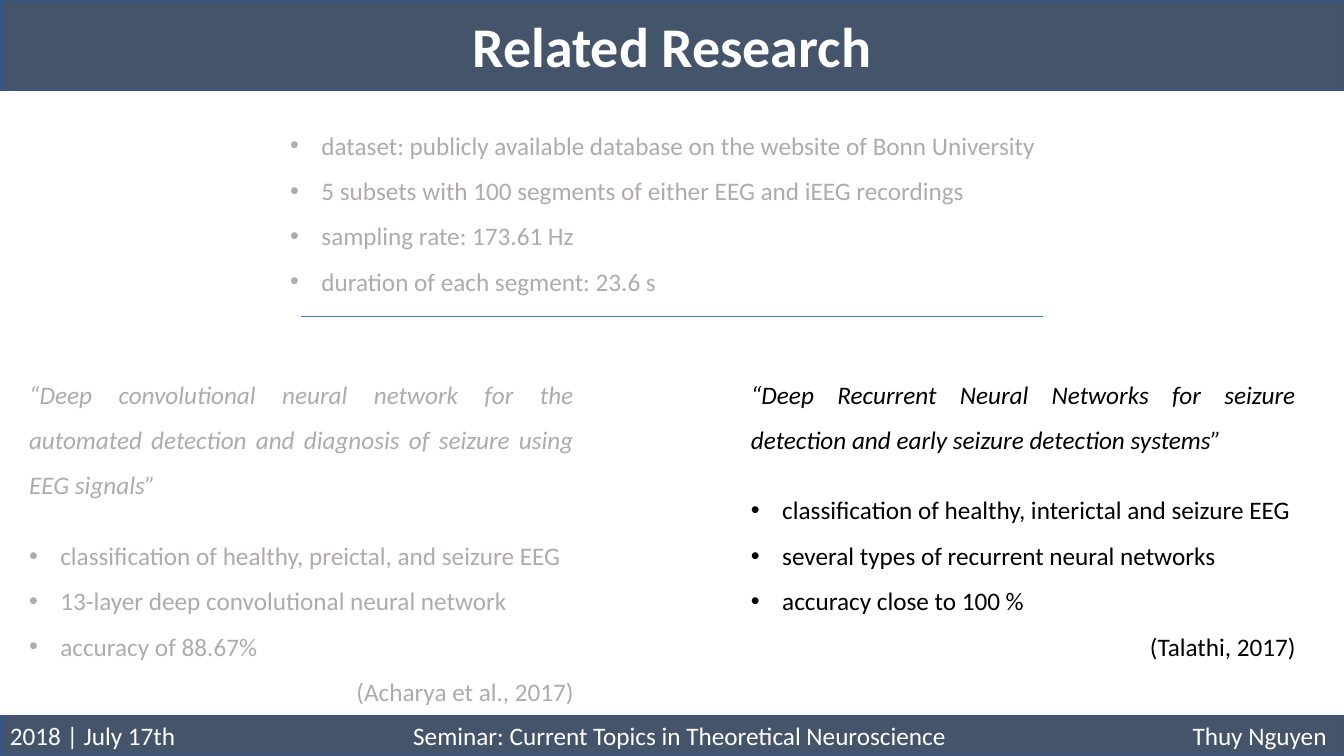
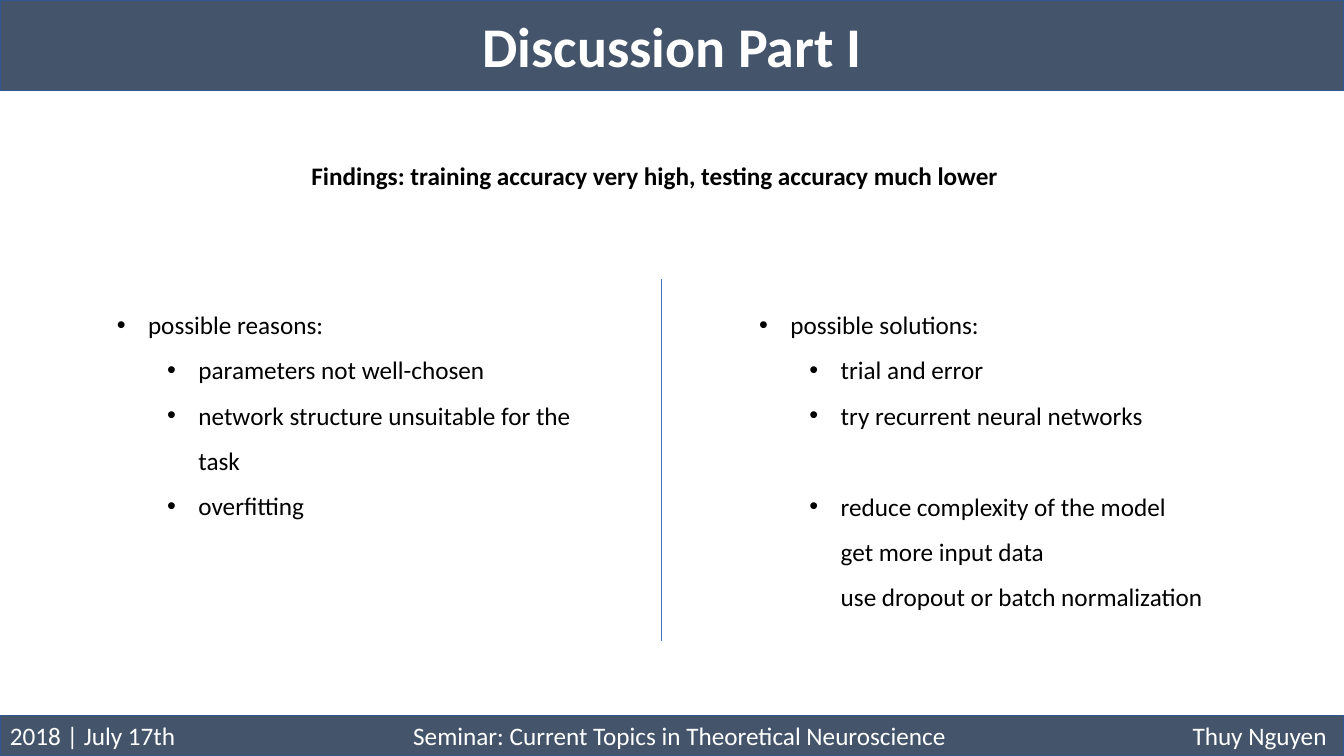
"""Build two seminar slides on seizure detection with deep networks."""
from dataclasses import dataclass

from lxml.etree import SubElement
from pptx import Presentation
from pptx.dml.color import RGBColor as RGB
from pptx.enum.shapes import MSO_CONNECTOR as Connector, MSO_SHAPE as Shape
from pptx.enum.text import MSO_ANCHOR as Anchor, MSO_AUTO_SIZE as AutoSize, PP_ALIGN as Align
from pptx.oxml.ns import qn
from pptx.util import Inches, Pt


@dataclass(frozen=True)
class Theme:
    font: str = "Calibri"
    bullet_font: str = "Arial"
    band: RGB = RGB(0x44, 0x54, 0x6A)
    band_line: RGB = RGB(0x32, 0x54, 0x91)
    rule: RGB = RGB(0x44, 0x72, 0xC4)
    light: RGB = RGB(0xFF, 0xFF, 0xFF)
    dark: RGB = RGB(0, 0, 0)
    faded: RGB = RGB(0xAF, 0xAB, 0xAB)
    title_size: float = 40
    body_size: float = 18
    spacing: float = 1.5


@dataclass(frozen=True)
class Para:
    text: str
    level: int | None = None
    align: Align | None = None
    bold: bool = False
    italic: bool = False
    before: float = 0
    spacing: float = Theme.spacing


@dataclass(frozen=True)
class Box:
    left: float
    top: float
    width: float
    height: float
    paras: list[Para]
    color: RGB = Theme.dark


@dataclass(frozen=True)
class Rule:
    x1: float
    y1: float
    x2: float
    y2: float


@dataclass(frozen=True)
class Page:
    title: str
    boxes: list[Box]
    rule: Rule


THEME = Theme()
WIDTH, HEIGHT = 13.33, 7.5
TITLE_HEIGHT, FOOTER_HEIGHT = 0.9, 0.4
HANG, LEVEL_STEP = 0.31, 0.5
FOOTER = "2018 | July 17th\tSeminar: Current Topics in Theoretical Neuroscience\tThuy Nguyen"
FOOTER_TABS = [(4, "l"), (13.06, "r")]
GROUP_GAP = 18
LINE_GAP = 32.5


def bullets(*texts: str, level: int = 0, before: float = 0) -> list[Para]:
    return [Para(t, level, before=0 if i else before) for i, t in enumerate(texts)]


def paper(title: str, points: list[str], cite: str) -> list[Para]:
    return [Para(title, align=Align.JUSTIFY, italic=True),
            *bullets(*points, before=GROUP_GAP),
            Para(cite, align=Align.RIGHT)]


def style_runs(p, size: float, color: RGB, bold: bool = False, italic: bool = False) -> None:
    for r in p.runs:
        r.font.name = THEME.font
        r.font.size = Pt(size)
        r.font.color.rgb = color
        r.font.bold = bold
        r.font.italic = italic


def add_bullet(p, level: int) -> None:
    p.level = level
    pPr = p._p.get_or_add_pPr()
    pPr.set("marL", str(Inches(HANG + level * LEVEL_STEP)))
    pPr.set("indent", str(-Inches(HANG)))
    SubElement(pPr, qn("a:buFont"), typeface=THEME.bullet_font)
    SubElement(pPr, qn("a:buChar"), char="•")


def add_tabs(p, stops: list[tuple[float, str]]) -> None:
    tabs = SubElement(p._p.get_or_add_pPr(), qn("a:tabLst"))
    for pos, align in stops:
        SubElement(tabs, qn("a:tab"), pos=str(Inches(pos)), algn=align)


def add_band(s, top: float, height: float, text: str, size: float,
             align: Align, bold: bool = False):
    sp = s.shapes.add_shape(Shape.RECTANGLE, 0, Inches(top), Inches(WIDTH), Inches(height))
    sp.shadow.inherit = False
    sp.fill.solid()
    sp.fill.fore_color.rgb = THEME.band
    sp.line.color.rgb = THEME.band_line
    sp.line.width = Pt(1)
    tf = sp.text_frame
    tf.vertical_anchor = Anchor.MIDDLE
    tf.text = text
    p = tf.paragraphs[0]
    p.alignment = align
    style_runs(p, size, THEME.light, bold)
    return p


def add_box(s, box: Box) -> None:
    sp = s.shapes.add_textbox(Inches(box.left), Inches(box.top),
                              Inches(box.width), Inches(box.height))
    tf = sp.text_frame
    tf.word_wrap = True
    tf.auto_size = AutoSize.SHAPE_TO_FIT_TEXT
    for i, para in enumerate(box.paras):
        p = tf.add_paragraph() if i else tf.paragraphs[0]
        p.text = para.text
        if para.level is not None:
            add_bullet(p, para.level)
        p.alignment = para.align
        p.line_spacing = para.spacing
        if para.before:
            p.space_before = Pt(para.before)
        style_runs(p, THEME.body_size, box.color, para.bold, para.italic)


def add_rule(s, rule: Rule) -> None:
    line = s.shapes.add_connector(Connector.STRAIGHT, Inches(rule.x1), Inches(rule.y1),
                                  Inches(rule.x2), Inches(rule.y2))
    line.line.color.rgb = THEME.rule
    line.line.width = Pt(0.5)
    SubElement(line._element.spPr, qn("a:effectLst"))


def add_page(prs, page: Page) -> None:
    s = prs.slides.add_slide(prs.slide_layouts[6])
    footer = add_band(s, HEIGHT - FOOTER_HEIGHT, FOOTER_HEIGHT, FOOTER,
                      THEME.body_size, Align.LEFT)
    add_tabs(footer, FOOTER_TABS)
    add_band(s, 0, TITLE_HEIGHT, page.title, THEME.title_size, Align.CENTER, bold=True)
    for box in page.boxes:
        add_box(s, box)
    add_rule(s, page.rule)


PAGES = [
    Page("Related Research", [
        Box(0.19, 3.56, 5.6, 3.54, paper(
            "“Deep convolutional neural network for the automated detection "
            "and diagnosis of seizure using EEG signals”",
            ["classification of healthy, preictal, and seizure EEG",
             "13-layer deep convolutional neural network",
             "accuracy of 88.67%"],
            "(Acharya et al., 2017)"), THEME.faded),
        Box(7.35, 3.56, 5.6, 3.03, paper(
            "“Deep Recurrent Neural Networks for seizure detection "
            "and early seizure detection systems”",
            ["classification of healthy, interictal and seizure EEG",
             "several types of recurrent neural networks",
             "accuracy close to 100 %"],
            "(Talathi, 2017)")),
        Box(2.78, 1.09, 7.76, 1.87, bullets(
            "dataset: publicly available database on the website of Bonn University",
            "5 subsets with 100 segments of either EEG and iEEG recordings",
            "sampling rate: 173.61 Hz",
            "duration of each segment: 23.6 s"), THEME.faded),
    ], Rule(2.99, 3.14, 10.34, 3.14)),
    Page("Discussion Part I", [
        Box(1.06, 2.87, 5.09, 2.37, [
            *bullets("possible reasons:"),
            *bullets("parameters not well-chosen",
                     "network structure unsuitable for the task",
                     "overfitting", level=1)]),
        Box(2.99, 1.54, 7.13, 0.4, [
            Para("Findings: training accuracy very high, testing accuracy much lower",
                 bold=True, spacing=1)]),
        Box(7.43, 2.87, 5.09, 3.23, [
            *bullets("possible solutions:"),
            *bullets("trial and error", "try recurrent neural networks", level=1),
            *bullets("reduce complexity of the model\vget more input data\v"
                     "use dropout or batch normalization", level=1, before=LINE_GAP)]),
    ], Rule(6.56, 2.77, 6.56, 6.36)),
]


def main() -> None:
    prs = Presentation()
    prs.slide_width, prs.slide_height = Inches(WIDTH), Inches(HEIGHT)
    for page in PAGES:
        add_page(prs, page)
    prs.save("out.pptx")


if __name__ == "__main__":
    main()
